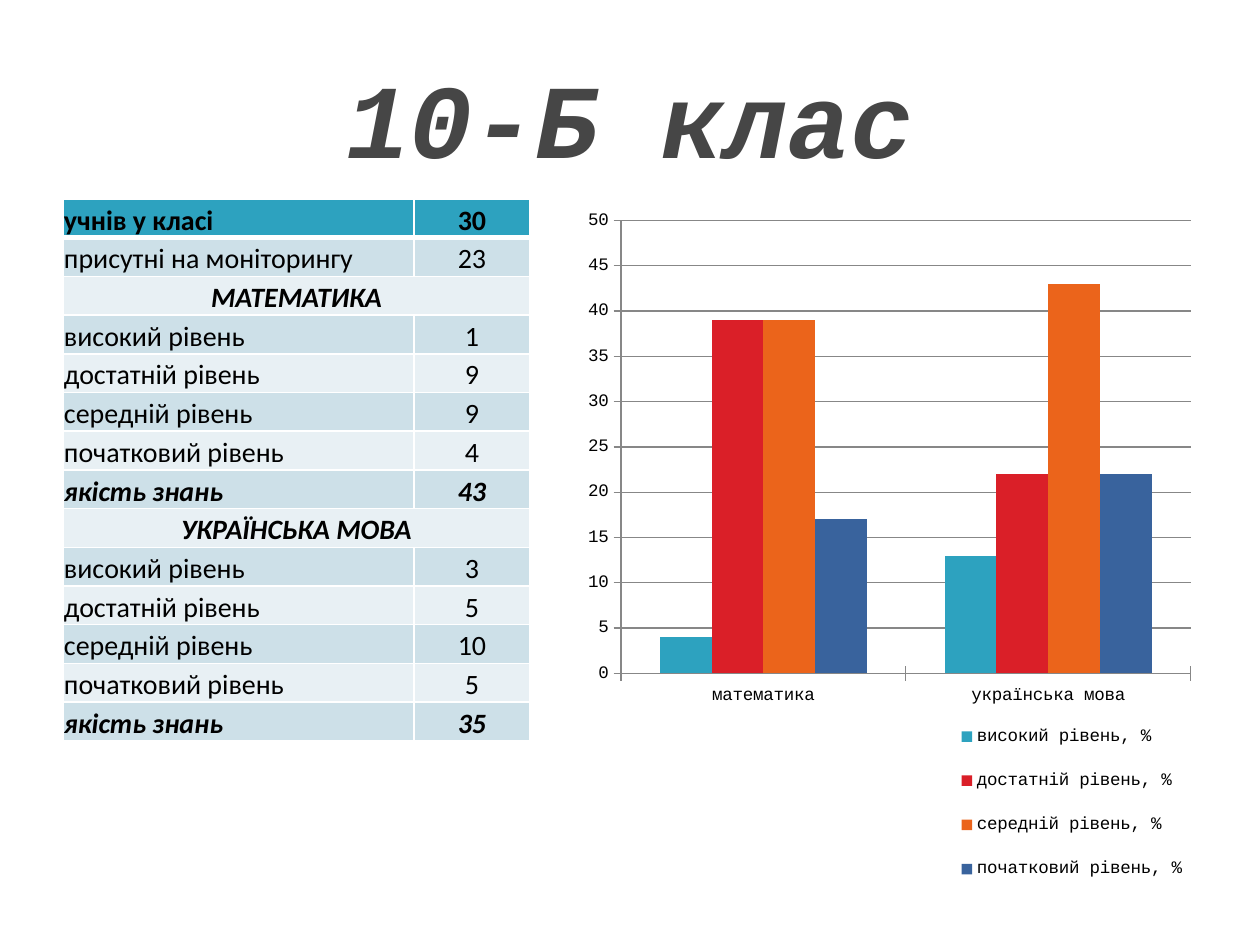
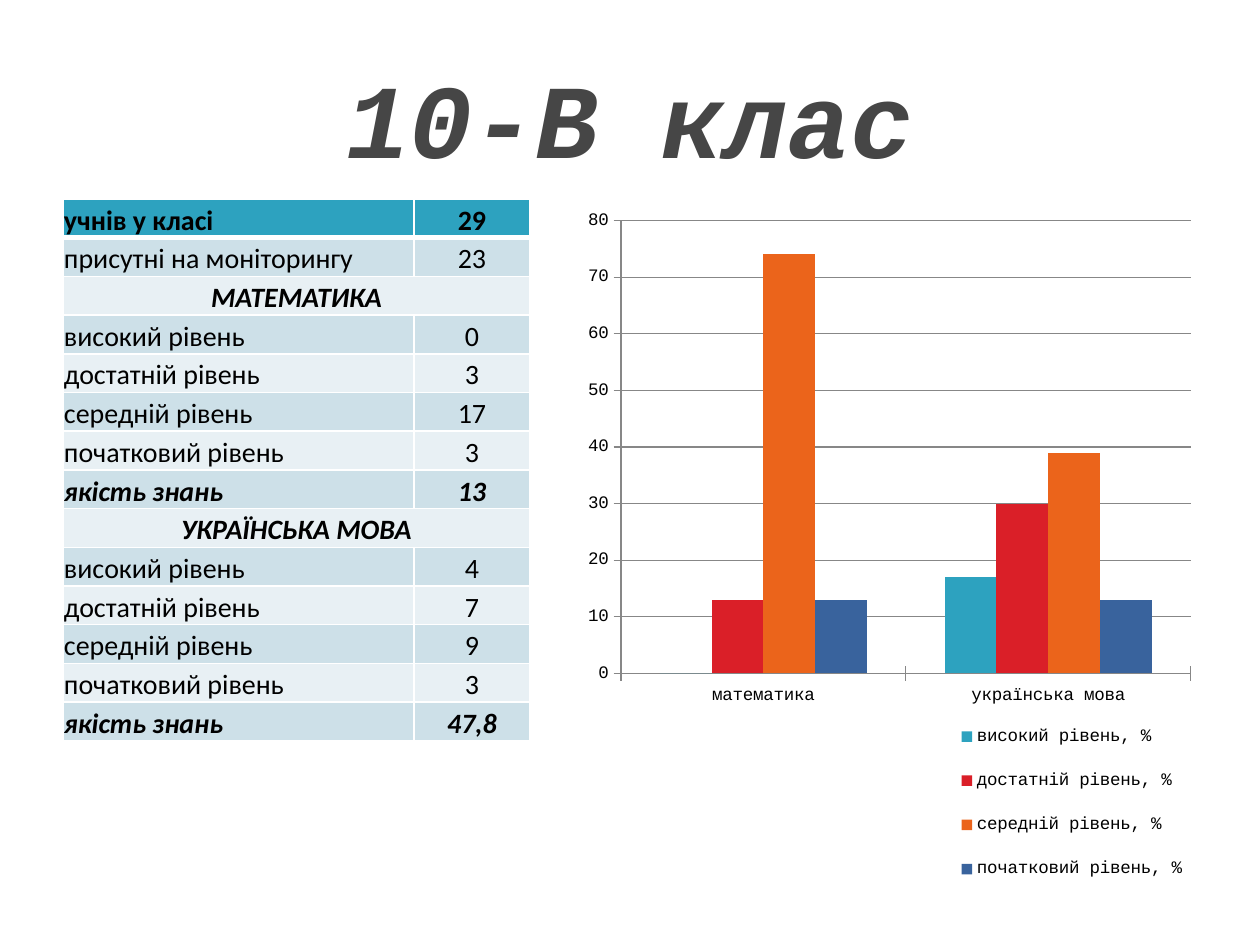
from lxml.etree import SubElement
from pptx import Presentation
from pptx.chart.data import CategoryChartData as Data
from pptx.dml.color import RGBColor as RGB
from pptx.enum.chart import XL_CHART_TYPE as Kind, XL_LEGEND_POSITION as Side, XL_TICK_MARK as Tick
from pptx.enum.text import MSO_ANCHOR as Anchor, PP_ALIGN as Align
from pptx.oxml import parse_xml
from pptx.oxml.ns import nsdecls, qn
from pptx.util import Emu, Pt

WHITE = RGB(0xFF, 0xFF, 0xFF)
BLACK = RGB(0, 0, 0)
DARK = RGB(0x46, 0x46, 0x46)
GREY = RGB(0x87, 0x87, 0x87)
TEAL = RGB(0x2D, 0xA2, 0xBF)
RED = RGB(0xDA, 0x1F, 0x28)
ORANGE = RGB(0xEB, 0x64, 0x1B)
BLUE = RGB(0x39, 0x63, 0x9D)
BANDS = RGB(0xE8, 0xF0, 0xF4), RGB(0xCD, 0xE0, 0xE8)

MONO, SANS = "Courier New", "Calibri"
SCALE = 914400 / 126
HEADS = "учнів у класі", "присутні на моніторингу"
TOPICS = "математика", "українська мова"
LEVELS = {
    "високий рівень": TEAL,
    "достатній рівень": RED,
    "середній рівень": ORANGE,
    "початковий рівень": BLUE,
}
QUALITY = "якість знань"


def px(*sizes):
    return [Emu(round(size * SCALE)) for size in sizes]


def border(cell, widths):
    props = cell._tc.get_or_add_tcPr()
    for spot, (side, width) in enumerate(zip("LRTB", widths)):
        props.insert(spot, parse_xml(
            f'<a:ln{side} {nsdecls("a")} w="{Pt(width)}"><a:solidFill>'
            f'<a:srgbClr val="{WHITE}"/></a:solidFill></a:ln{side}>'))


def place(node, spot, box, inner=False):
    for old in node.findall(qn("c:layout")):
        node.remove(old)
    layout = parse_xml(f'<c:layout {nsdecls("c")}/>')
    manual = SubElement(layout, qn("c:manualLayout"))
    if inner:
        SubElement(manual, qn("c:layoutTarget"), val="inner")
    for tag in ("xMode", "yMode"):
        SubElement(manual, qn(f"c:{tag}"), val="edge")
    for tag, size in zip("xywh", box):
        SubElement(manual, qn(f"c:{tag}"), val=str(size))
    node.insert(spot, layout)


class Deck:
    """Holds the shared style and the slide being built."""

    def __init__(self):
        self.show = Presentation()
        self.show.slide_width, self.show.slide_height = px(1260, 945)
        self.slide = None

    def text(self, para, words, font, size, color, bold=False, slant=False):
        run = para.add_run()
        run.text = words
        style = run.font
        style.name, style.size = font, Pt(size)
        style.bold, style.italic = bold, slant
        style.color.rgb = color

    def title(self, words):
        self.slide = self.show.slides.add_slide(self.show.slide_layouts[5])
        shape = self.slide.shapes.title
        shape.left, shape.top, shape.width, shape.height = px(63, 38, 1134, 158)
        frame = shape.text_frame
        frame.vertical_anchor = Anchor.MIDDLE
        para = frame.paragraphs[0]
        para.alignment = Align.CENTER
        self.text(para, words, MONO, 60, DARK, True, True)

    def cell(self, cell, words, row, center, bold, slant):
        cell.margin_left, cell.margin_right, cell.margin_top, cell.margin_bottom = px(1, 1, 1, 0)
        cell.vertical_anchor = Anchor.BOTTOM
        cell.fill.solid()
        cell.fill.fore_color.rgb = BANDS[row % 2] if row else TEAL
        border(cell, (1, 1, 3 if row == 1 else 1, 1 if row else 3))
        if words:
            para = cell.text_frame.paragraphs[0]
            para.alignment = Align.CENTER if center else Align.LEFT
            self.text(para, words, SANS, 16, BLACK, bold, slant)

    def table(self, rows):
        grid = self.slide.shapes.add_table(len(rows), 2, *px(63, 199, 467, 542)).table
        grid.columns[0].width, grid.columns[1].width = px(351, 116)
        for row, (label, value) in enumerate(rows):
            topic = not value
            slant = topic or label == QUALITY
            bold = slant or row == 0
            if topic:
                grid.cell(row, 0).merge(grid.cell(row, 1))
            self.cell(grid.cell(row, 0), label, row, topic, bold, slant)
            self.cell(grid.cell(row, 1), value, row, True, bold, slant)

    def axis(self, axis):
        axis.major_tick_mark = Tick.CROSS
        axis.minor_tick_mark = Tick.NONE
        axis.format.line.color.rgb = GREY

    def chart(self, values, top, step):
        data = Data()
        data.categories = TOPICS
        for level, pair in zip(LEVELS, values):
            data.add_series(f"{level}, %", pair)
        chart = self.slide.shapes.add_chart(
            Kind.COLUMN_CLUSTERED, *px(571, 199, 626, 719), data).chart
        chart.has_title = False
        chart.font.name, chart.font.size = MONO, Pt(10)
        chart.font.color.rgb = BLACK
        plot = chart.plots[0]
        plot.gap_width, plot.overlap, plot.vary_by_categories = 150, 0, False
        for series, color in zip(plot.series, LEVELS.values()):
            series.format.fill.solid()
            series.format.fill.fore_color.rgb = color
        scale = chart.value_axis
        scale.minimum_scale, scale.maximum_scale, scale.major_unit = 0, top, step
        scale.has_major_gridlines = True
        scale.major_gridlines.format.line.color.rgb = GREY
        self.axis(scale)
        self.axis(chart.category_axis)
        chart.has_legend = True
        chart.legend.position = Side.RIGHT
        chart.legend.include_in_layout = False
        root = chart.element.find(qn("c:chart"))
        place(root.find(qn("c:plotArea")), 0, (0.08, 0.03, 0.91, 0.63), True)
        place(root.find(qn("c:legend")), 1, (0.61, 0.7, 0.38, 0.28))


def rows(heads, *marks):
    lines = list(zip(HEADS, heads))
    for topic, group in zip(TOPICS, marks):
        lines.append((topic.upper(), ""))
        lines += zip((*LEVELS, QUALITY), group)
    return lines


CLASSES = (
    ("10-Б клас",
     rows(("30", "23"), ("1", "9", "9", "4", "43"), ("3", "5", "10", "5", "35")),
     ((4, 13), (39, 22), (39, 43), (17, 22)), 50, 5),
    ("10-В клас",
     rows(("29", "23"), ("0", "3", "17", "3", "13"), ("4", "7", "9", "3", "47,8")),
     ((0, 17), (13, 30), (74, 39), (13, 13)), 80, 10),
)

deck = Deck()
for name, lines, values, top, step in CLASSES:
    deck.title(name)
    deck.table(lines)
    deck.chart(values, top, step)
deck.show.save("out.pptx")
